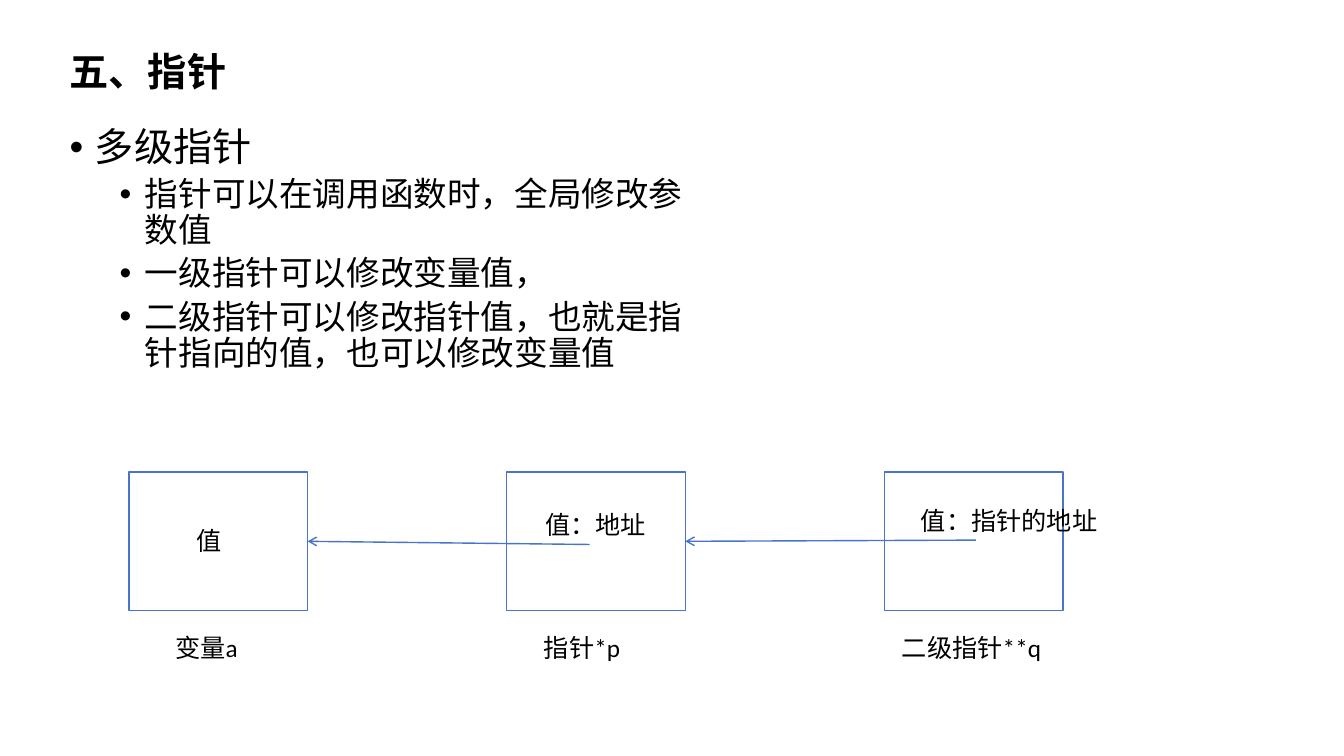
from lxml import etree
from pptx import Presentation
from pptx.dml.color import RGBColor
from pptx.enum import shapes, text
from pptx.oxml.ns import qn
from pptx.util import Cm, Pt

COLORS = {"text": "000000", "line": "4874CB"}
FONT = "Calibri"

TITLE = "五、指针"
POINTS = [
    (0, "多级指针"),
    (1, "指针可以在调用函数时，全局修改参数值"),
    (1, "一级指针可以修改变量值，"),
    (1, "二级指针可以修改指针值，也就是指针指向的值，也可以修改变量值"),
]
# size, left margin, space before for each list level
LEVELS = [(28, 0.64, 0), (24, 1.9, 5)]
HANG = 0.64

# Lengths in cm: left, top, width, height
TITLE_AT = (1.5, 1.19, 12, 1.12)
BODY_AT = (1.5, 3.1, 16.66, 7)
BOX_LEFT, BOX_TOP, BOX_W, BOX_H, STEP = 3.25, 11.89, 4.5, 3.5, 9.52
NAME_TOP, LINE_H = 15.8, 1.02

# name (text, left, width), value (text, left, top, width), arrow start
CELLS = [
    (("变量a", 4.17, 2.9), ("值", 4.7, 13.11, 1.83), None),
    (("指针*p", 13.46, 3.81), ("值：地址", 13.49, 12.7, 3.3), (14.86, 13.72)),
    (("二级指针**q", 22.48, 5.05), ("值：指针的地址", 22.96, 12.6, 11.28),
     (24.59, 13.61)),
]


def color(key):
    return RGBColor.from_string(COLORS[key])


def write(para, words, size, bold=False):
    run = para.add_run()
    run.text = words
    for name, value in {"name": FONT, "size": Pt(size), "bold": bold}.items():
        setattr(run.font, name, value)
    run.font.color.rgb = color("text")


def place(holder, at):
    for name, value in zip(("left", "top", "width", "height"), at):
        setattr(holder, name, Cm(value))
    frame = holder.text_frame
    frame.auto_size = text.MSO_AUTO_SIZE.NONE
    frame.vertical_anchor = text.MSO_ANCHOR.TOP
    frame.word_wrap = True
    return frame


def style(para, before=0):
    para.alignment = text.PP_ALIGN.LEFT
    para.line_spacing = 0.9
    para.space_before = Pt(before)


def bullet(para, margin):
    props = para._p.get_or_add_pPr()
    props.set("marL", str(Cm(margin)))
    props.set("indent", str(-Cm(HANG)))
    etree.SubElement(props, qn("a:buFont")).set("typeface", "Arial")
    etree.SubElement(props, qn("a:buChar")).set("char", "•")


def label(slide, words, left, top, width):
    box = slide.shapes.add_textbox(Cm(left), Cm(top), Cm(width), Cm(LINE_H))
    frame = box.text_frame
    frame.word_wrap = True
    frame.auto_size = text.MSO_AUTO_SIZE.SHAPE_TO_FIT_TEXT
    write(frame.paragraphs[0], words, 18)


def arrow(slide, start, target):
    """Draw an arrow from a free point to the right side of a box."""
    x, y = map(Cm, start)
    link = slide.shapes.add_connector(shapes.MSO_CONNECTOR.STRAIGHT, x, y, x, y)
    link.end_connect(target, 3)
    link.line.color.rgb = color("line")
    link.line.width = Pt(1)
    tail = etree.SubElement(link.line._get_or_add_ln(), qn("a:tailEnd"))
    tail.set("type", "arrow")
    etree.SubElement(link._element.spPr, qn("a:effectLst"))


def main():
    deck = Presentation()
    deck.slide_width, deck.slide_height = Cm(33.87), Cm(19.05)
    slide = deck.slides.add_slide(deck.slide_layouts[1])

    para = place(slide.shapes.title, TITLE_AT).paragraphs[0]
    style(para)
    write(para, TITLE, 28, True)

    frame = place(slide.placeholders[1], BODY_AT)
    for i, (level, words) in enumerate(POINTS):
        para = frame.add_paragraph() if i else frame.paragraphs[0]
        size, margin, before = LEVELS[level]
        para.level = level
        style(para, before)
        bullet(para, margin)
        write(para, words, size)

    boxes = []
    for i in range(len(CELLS)):
        box = slide.shapes.add_shape(
            shapes.MSO_SHAPE.RECTANGLE, Cm(BOX_LEFT + i * STEP), Cm(BOX_TOP),
            Cm(BOX_W), Cm(BOX_H))
        box.fill.background()
        box.line.color.rgb = color("line")
        box.line.width = Pt(1)
        box.shadow.inherit = False
        boxes.append(box)

    for i, (name, value, start) in enumerate(CELLS):
        words, left, width = name
        label(slide, words, left, NAME_TOP, width)
        if start:
            arrow(slide, start, boxes[i - 1])
        label(slide, *value)

    deck.save("out.pptx")


if __name__ == "__main__":
    main()
